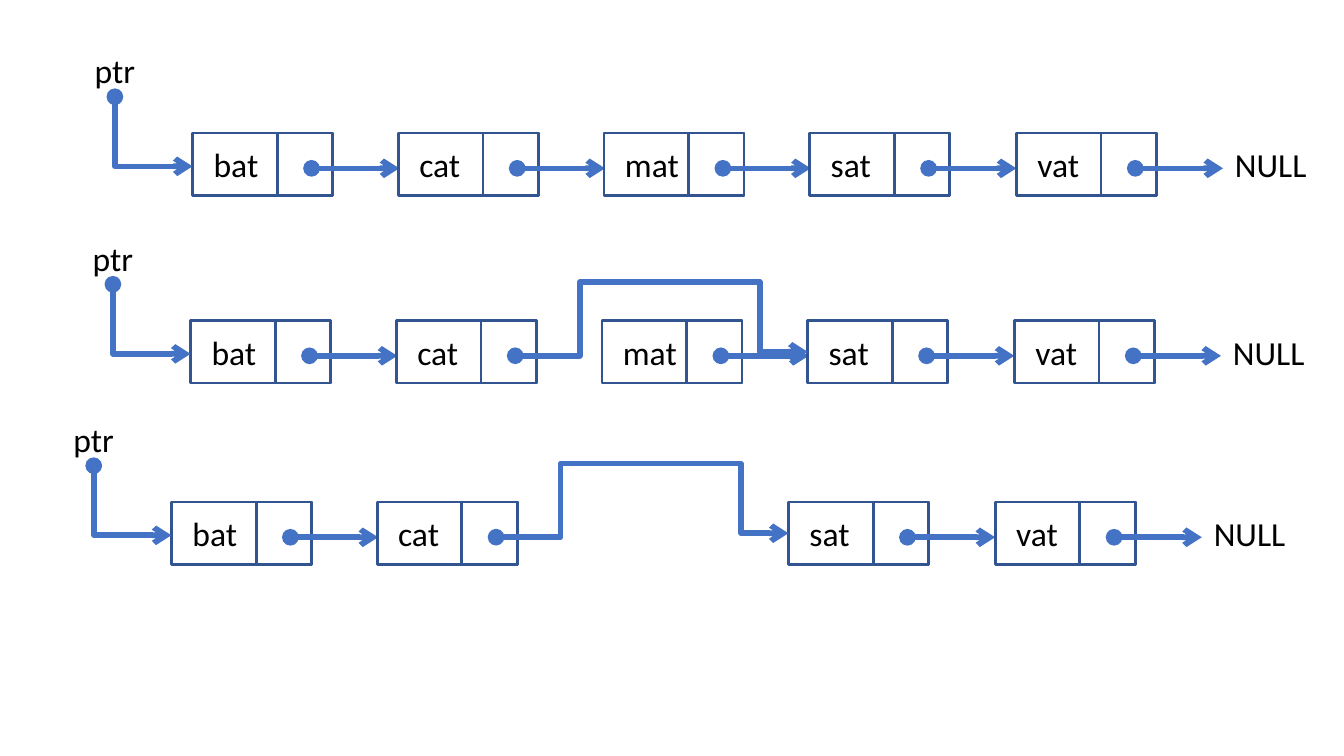
from lxml import etree
from pptx import Presentation
from pptx.dml.color import RGBColor
from pptx.enum import shapes, text
from pptx.oxml.ns import qn
from pptx.util import Inches, Pt


def write(parent, left, top, width, words):
    box = parent.add_textbox(Inches(left), Inches(top), Inches(width), Inches(0.5))
    box.text_frame.word_wrap = False
    box.text_frame.auto_size = text.MSO_AUTO_SIZE.SHAPE_TO_FIT_TEXT
    span = box.text_frame.paragraphs[0].add_run()
    span.text = words
    span.font.size = Pt(24)
    span.font.name = "Calibri"
    span.font.color.rgb = RGBColor.from_string("000000")


def link(parent, kind, start, end, head=True, tail=True):
    line = parent.add_connector(kind, *[Inches(value) for value in start + end])
    line.line.color.rgb = RGBColor.from_string("4472C4")
    line.line.width = Pt(4)
    properties = line._element.spPr
    outline = properties.find(qn("a:ln"))
    if head:
        etree.SubElement(outline, qn("a:headEnd"), type="oval")
    if tail:
        etree.SubElement(outline, qn("a:tailEnd"), type="arrow")
    etree.SubElement(properties, qn("a:effectLst"))
    return line


deck = Presentation()
deck.slide_width = Inches(13.33)
deck.slide_height = Inches(7.5)
page = deck.slides.add_slide(deck.slide_layouts[6])
straight = shapes.MSO_CONNECTOR.STRAIGHT
elbow = shapes.MSO_CONNECTOR.ELBOW

nodes = {
    "bat": (0, 0.65),
    "cat": (2.04, 0.61),
    "mat": (4.08, 0.74),
    "sat": (6.12, 0.6),
    "vat": (8.17, 0.62),
}
lists = [
    (1.91, 1.32, ["bat", "cat", "mat", "sat", "vat"], False),
    (1.89, 3.18, ["bat", "cat", "mat", "sat", "vat"], True),
    (1.7, 4.98, ["bat", "cat", "sat", "vat"], True),
]

for left, top, words, bypass in lists:
    write(page.shapes, left - 1.07, top - 0.87, 0.61, "ptr")

    for word in words:
        offset, text_width = nodes[word]
        node_left = left + offset
        node = page.shapes.add_group_shape().shapes
        for cell_left, cell_width in [(node_left, 1.39), (node_left + 0.84, 0.55)]:
            cell = node.add_shape(
                shapes.MSO_SHAPE.RECTANGLE,
                Inches(cell_left), Inches(top), Inches(cell_width), Inches(0.62),
            )
            cell.shadow.inherit = False
            cell.fill.background()
            cell.line.color.rgb = RGBColor.from_string("325491")
            cell.line.width = Pt(2)
        write(node, node_left + 0.11, top + 0.06, text_width, word)
        if not (bypass and word == "cat"):
            link(node, straight, (node_left + 1.18, top + 0.35), (node_left + 2.05, top + 0.35))

    write(page.shapes, left + 10.24, top + 0.06, 0.92, "NULL")

    entry = link(page.shapes, elbow, (left - 0.04, top - 0.4), (left - 0.73, top + 0.37))
    entry._element.spPr.find(qn("a:xfrm")).set("rot", str(270 * 60000))
    entry._element.spPr.find(qn("a:prstGeom")).set("prst", "bentConnector2")

    if bypass:
        peak = (left + 4.71, top - 0.38)
        rise = link(page.shapes, elbow, (left + 3.22, top + 0.35), peak, tail=False)
        fall = link(page.shapes, elbow, peak, (left + 6.12, top + 0.31), head=False)
        for bend, share in [(rise, 43000), (fall, 66600)]:
            guides = bend._element.spPr.find(qn("a:prstGeom")).find(qn("a:avLst"))
            etree.SubElement(guides, qn("a:gd"), name="adj1", fmla=f"val {share}")

deck.save("out.pptx")
